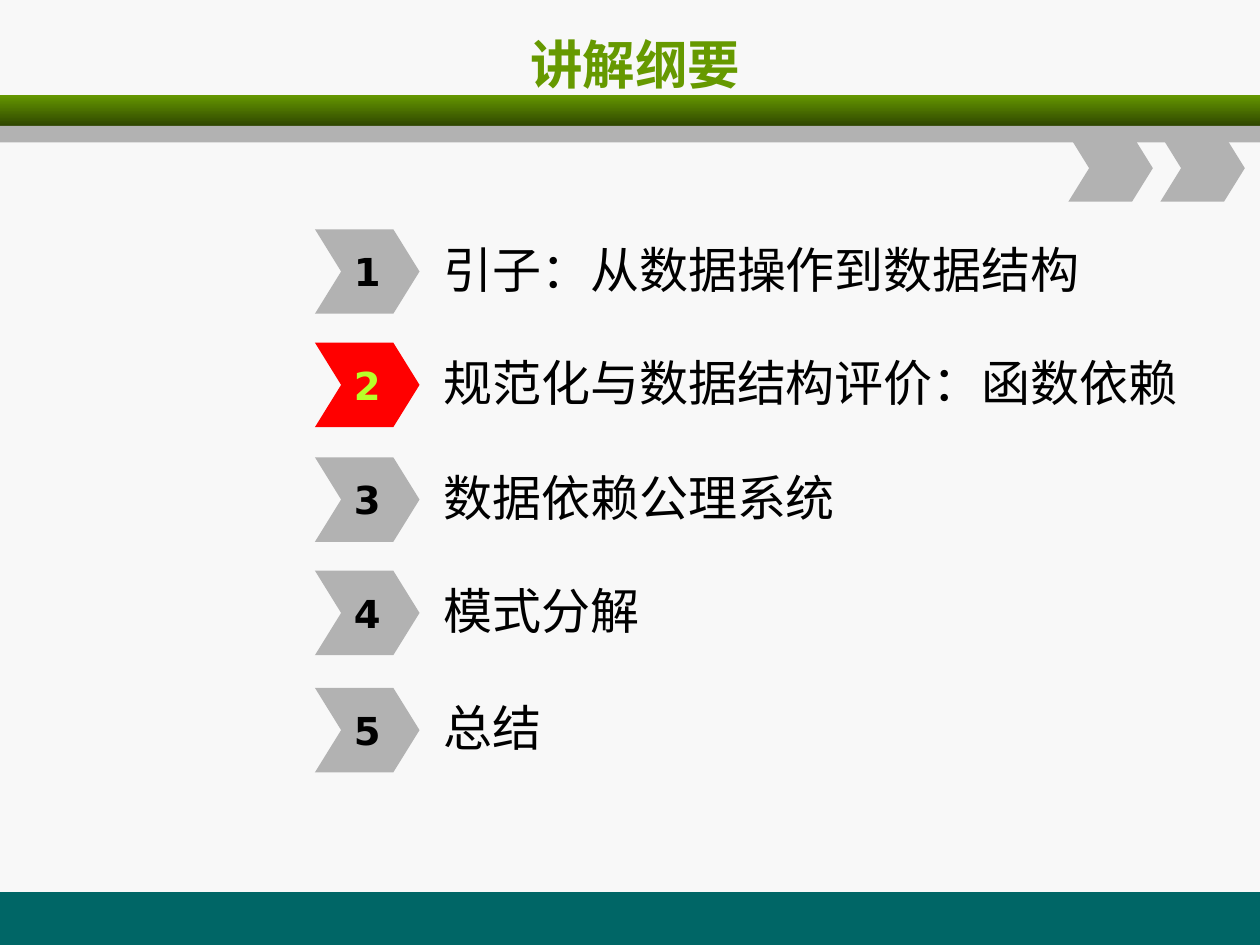
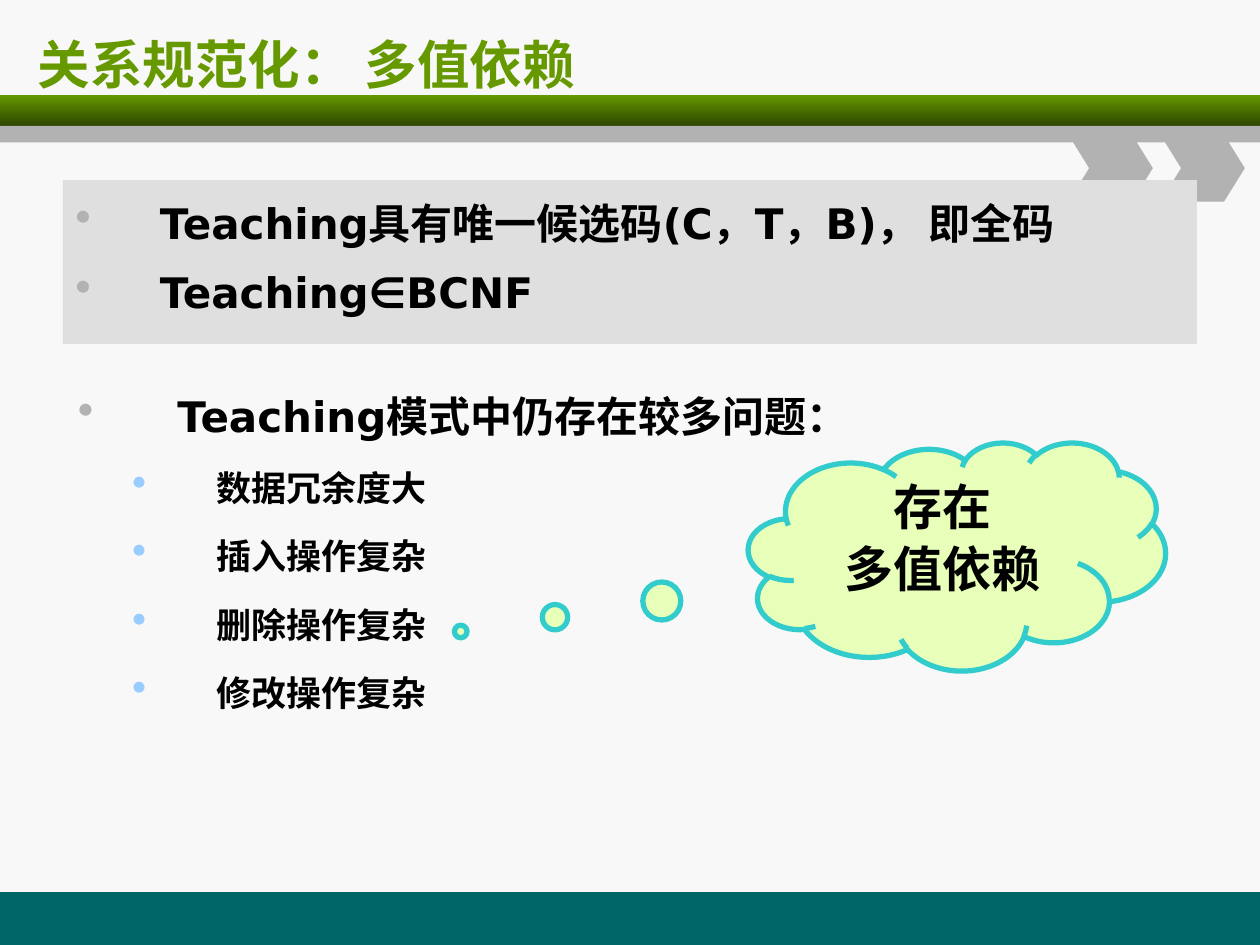
from lxml import etree
from pptx import Presentation
from pptx import util as u
from pptx.dml.color import RGBColor
from pptx.enum import shapes, text
from pptx.oxml import ns

COLORS = {
    "page": "F8F8F8", "green": "669900", "dark_green": "2F4600",
    "gray": "B2B2B2", "teal": "006666", "black": "000000",
    "red": "FF0000", "lime": "B8FF29", "panel": "DFDFDF",
    "sky": "99CCFF", "cloud": "E7FFB8", "aqua": "33CCCC",
}
LATIN, CJK = "DejaVu Sans", "Noto Sans CJK SC"
KIND = shapes.MSO_SHAPE
LEFT, CENTER = text.PP_ALIGN.LEFT, text.PP_ALIGN.CENTER
TOP, MIDDLE = text.MSO_ANCHOR.TOP, text.MSO_ANCHOR.MIDDLE


def rgb(name):
    return RGBColor.from_string(COLORS[name])


class Deck:
    """Holds the lecture style and the slide being drawn."""

    def __init__(self):
        self.prs = Presentation()
        self.prs.slide_width, self.prs.slide_height = u.Inches(10), u.Inches(7.5)
        self.slide = None

    def new_slide(self, title, box, align=LEFT):
        self.slide = self.prs.slides.add_slide(self.prs.slide_layouts[5])
        self.slide.background.fill.solid()
        self.slide.background.fill.fore_color.rgb = rgb("page")
        self.shape(KIND.RECTANGLE, (0, 7.08, 10, 0.42), "teal")
        band = self.shape(KIND.RECTANGLE, (0, 0.75, 10, 0.25), "green")
        band.fill.gradient()
        band.fill.gradient_angle = 270
        for stop, position, color in zip(
                band.fill.gradient_stops, (0, 1), ("green", "dark_green")):
            stop.position = position
            stop.color.rgb = rgb(color)
        self.shape(KIND.RECTANGLE, (0, 1, 10, 0.13), "gray")
        for left in (8.48, 9.21):
            self.shape(KIND.CHEVRON, (left, 1.07, 0.67, 0.53), "gray", (0.31,))
        heading = self.slide.shapes.title
        heading.left, heading.top, heading.width, heading.height = map(u.Inches, box)
        self.frame(heading, MIDDLE)
        self.fill_text(heading, title, 30, "green", bold=True, align=align)

    def shape(self, kind, box, fill, adjustments=(), line=None):
        item = self.slide.shapes.add_shape(kind, *map(u.Inches, box))
        item.shadow.inherit = False
        item.fill.solid()
        item.fill.fore_color.rgb = rgb(fill)
        for index, value in enumerate(adjustments):
            item.adjustments[index] = value
        if line:
            item.line.color.rgb = rgb(line)
            item.line.width = u.Pt(3)
        else:
            item.line.fill.background()
        return item

    def textbox(self, box):
        return self.slide.shapes.add_textbox(*map(u.Inches, box))

    def frame(self, item, anchor, wrap=True, left=0.1):
        frame = item.text_frame
        frame.auto_size = text.MSO_AUTO_SIZE.NONE
        frame.word_wrap = wrap
        frame.vertical_anchor = anchor
        frame.margin_left = u.Inches(left)

    def fill_text(self, item, content, size, color="black", bold=False,
                  align=LEFT, latin=LATIN):
        item.text_frame.text = content
        for paragraph in item.text_frame.paragraphs:
            self.style(paragraph, size, color, bold, align, latin)

    def style(self, paragraph, size, color="black", bold=False,
              align=LEFT, latin=LATIN):
        paragraph.alignment = align
        for run in paragraph.runs:
            run.font.name = latin
            run.font.size = u.Pt(size)
            run.font.bold = bold
            run.font.color.rgb = rgb(color)
            east_asian = etree.SubElement(run._r.get_or_add_rPr(), ns.qn("a:ea"))
            east_asian.set("typeface", CJK)

    def hang(self, paragraph, margin, indent):
        props = paragraph._p.get_or_add_pPr()
        props.set("marL", str(u.Inches(margin)))
        props.set("indent", str(u.Inches(-indent)))
        return props

    def bullets(self, item, points):
        self.frame(item, TOP)
        item.text_frame.text = "\n".join(point[0] for point in points)
        for index, paragraph in enumerate(item.text_frame.paragraphs):
            _, level, margin, indent = points[index]
            size, color, scale = ((24, "gray", 110), (20, "sky", 120))[level]
            props = self.hang(paragraph, margin, indent)
            tint = etree.SubElement(props, ns.qn("a:buClr"))
            etree.SubElement(tint, ns.qn("a:srgbClr")).set("val", COLORS[color])
            etree.SubElement(props, ns.qn("a:buSzPct")).set("val", str(scale * 1000))
            etree.SubElement(props, ns.qn("a:buChar")).set("char", "•")
            paragraph.level = level
            paragraph.line_spacing = u.Pt(35)
            paragraph.space_before = u.Pt(0.2 * size if index else 0)
            self.style(paragraph, size, bold=True)

    def agenda_row(self, number, topic, top, current):
        fill, color = ("red", "lime") if current else ("gray", "black")
        marker = self.shape(KIND.CHEVRON, (2.5, top, 0.83, 0.67), fill, (0.31,))
        self.frame(marker, MIDDLE, wrap=False)
        self.fill_text(marker, str(number), 22, color, bold=True, align=CENTER)
        label = self.textbox((3.33, top + 0.02, 6.2, 0.58))
        self.frame(label, MIDDLE, wrap=False, left=0.19)
        self.fill_text(label, topic, 28, latin=CJK)

    def thought(self, content, box, tail):
        cloud = self.shape(KIND.CLOUD_CALLOUT, box, "cloud", tail, line="aqua")
        self.frame(cloud, TOP)
        self.fill_text(cloud, content, 28, bold=True, align=CENTER, latin=CJK)
        for index, paragraph in enumerate(cloud.text_frame.paragraphs):
            self.hang(paragraph, 0.38, 0.38)
            paragraph.line_spacing = 0.9
            paragraph.space_before = u.Pt(5.6 if index else 0)


def build_agenda(deck):
    deck.new_slide("讲解纲要", (0.54, 0.17, 9, 0.67), CENTER)
    agenda = (
        ("引子：从数据操作到数据结构", 1.82),
        ("规范化与数据结构评价：函数依赖", 2.72),
        ("数据依赖公理系统", 3.63),
        ("模式分解", 4.53),
        ("总结", 5.46),
    )
    for number, (topic, top) in enumerate(agenda, 1):
        deck.agenda_row(number, topic, top, current=number == 2)


def build_dependency(deck):
    deck.new_slide("关系规范化： 多值依赖", (0.2, 0.17, 9.55, 0.67))
    facts = deck.shape(KIND.RECTANGLE, (0.5, 1.43, 9, 1.3), "panel")
    deck.bullets(facts, [
        ("Teaching具有唯一候选码(C，T，B)， 即全码", 0, 0.67, 0.67),
        ("Teaching∈BCNF", 0, 0.67, 0.67),
    ])
    problems = ("数据冗余度大", "插入操作复杂", "删除操作复杂", "修改操作复杂")
    deck.bullets(
        deck.textbox((0.52, 2.96, 9, 2.91)),
        [("Teaching模式中仍存在较多问题：", 0, 0.79, 0.79)]
        + [(problem, 1, 1.1, 0.67) for problem in problems])
    deck.thought("存在\n多值依赖", (5.94, 3.51, 3.31, 1.81), (-1.19, 0.33))


def main():
    deck = Deck()
    build_agenda(deck)
    build_dependency(deck)
    deck.prs.save("out.pptx")


if __name__ == "__main__":
    main()
